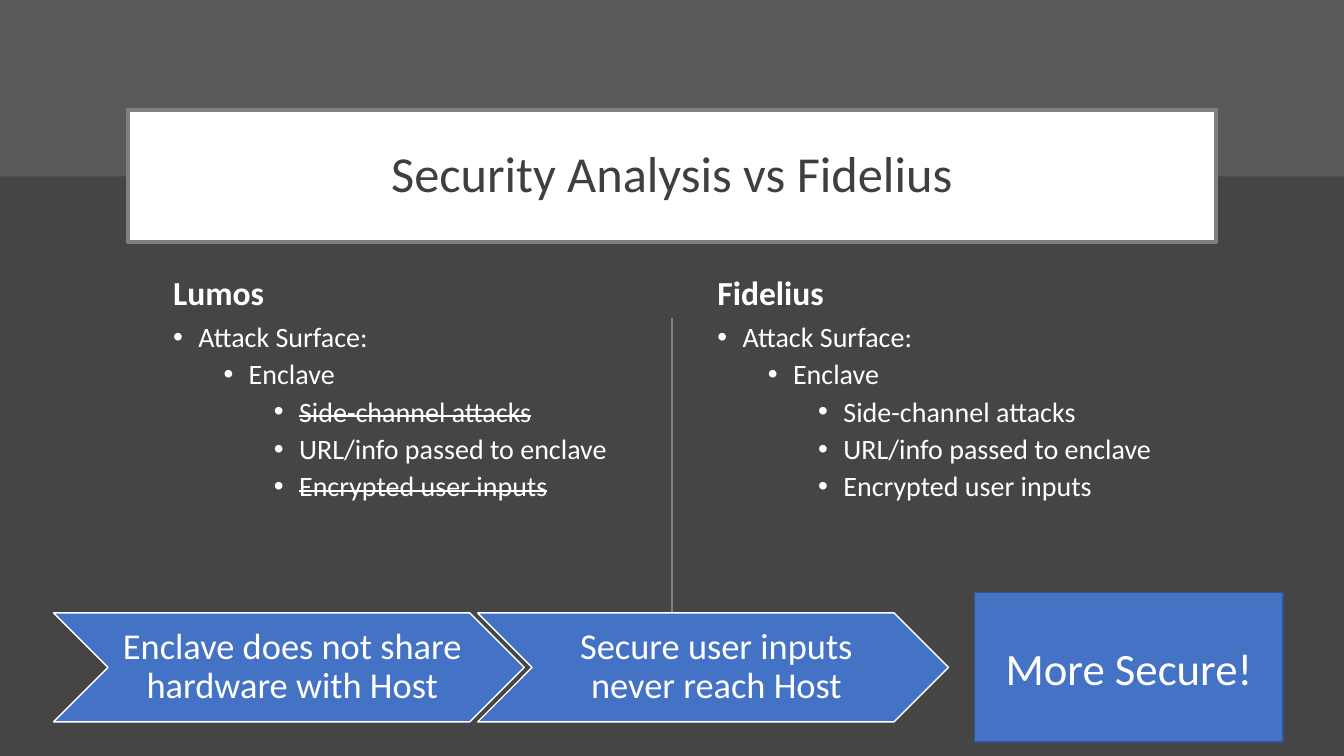
from lxml.etree import SubElement
from pptx import Presentation
from pptx.dml.color import RGBColor
from pptx.enum.shapes import MSO_CONNECTOR as Connector, MSO_SHAPE as Preset
from pptx.enum.text import MSO_ANCHOR as Anchor, PP_ALIGN as Align
from pptx.oxml.ns import qn
from pptx.util import Pt

WHITE, GREY, BLUE = "FFFFFF", "7F7F7F", "4472C4"
STEP = 18
ATTACK_SURFACE = [
    (0, "Attack Surface:"),
    (1, "Enclave"),
    (2, "Side-channel attacks"),
    (2, "URL/info passed to enclave"),
    (2, "Encrypted user inputs"),
]


def paint(target, color):
    """Give a fill or line format a solid colour."""
    target.fill.solid()
    target.fill.fore_color.rgb = RGBColor.from_string(color)


def apply(target, formats):
    """Set each named format value on the target."""
    for name, value in formats.items():
        setattr(target, name, value)


def write(paragraph, words, size, color=WHITE, bold=False, **formats):
    """Put one formatted run in a paragraph and return the run."""
    apply(paragraph, formats)
    run = paragraph.add_run()
    run.text = words
    apply(run.font, {"name": "Calibri", "size": Pt(size), "bold": bold})
    run.font.color.rgb = RGBColor.from_string(color)
    return run


def panel(slide, preset, box, fill, edge=None, weight=1):
    """Draw a flat filled shape with an optional outline."""
    shape = slide.shapes.add_shape(preset, *map(Pt, box))
    shape.shadow.inherit = False
    paint(shape, fill)
    if edge:
        paint(shape.line, edge)
        shape.line.width = Pt(weight)
    else:
        shape.line.fill.background()
    return shape


def caption(shape, words, size, color=WHITE, insets=(7.2, 3.6, 7.2, 3.6), spacing=1.0):
    """Centre wrapped words inside a shape."""
    left, top, right, bottom = map(Pt, insets)
    frame = shape.text_frame
    apply(frame, {"word_wrap": True, "vertical_anchor": Anchor.MIDDLE,
                  "margin_left": left, "margin_top": top,
                  "margin_right": right, "margin_bottom": bottom})
    write(frame.paragraphs[0], words, size, color,
          alignment=Align.CENTER, line_spacing=spacing)


def header(slide, box, title):
    """Draw the upper band with the framed title hanging over its edge."""
    left, top, width, height = box
    panel(slide, Preset.RECTANGLE, box, "595959")
    frame = panel(slide, Preset.RECTANGLE,
                  (left + 91.5, top + 78.5, width - 183, 94.5), WHITE, GREY, 3)
    caption(frame, title, 36, "3F3F3F", spacing=0.9)


def bullet(paragraph, level):
    """Add a hanging bullet at the indent of its level."""
    paragraph.level = level
    properties = paragraph._p.get_or_add_pPr()
    properties.set("marL", str(Pt(STEP + 2 * STEP * level)))
    properties.set("indent", str(Pt(-STEP)))
    SubElement(properties, qn("a:buFont")).set("typeface", "Arial")
    SubElement(properties, qn("a:buChar")).set("char", "•")


def system_column(slide, box, system, removed=()):
    """Write a system name above its attack surface, striking removed risks."""
    left, top, width, height = box
    name = slide.shapes.add_textbox(Pt(left), Pt(top), Pt(width), Pt(36)).text_frame
    name.word_wrap = True
    write(name.paragraphs[0], system, 24, bold=True)
    risks = slide.shapes.add_textbox(
        Pt(left), Pt(top + 36.5), Pt(width), Pt(height - 36.5)).text_frame
    risks.word_wrap = True
    for index, (level, risk) in enumerate(ATTACK_SURFACE):
        paragraph = risks.paragraphs[0] if index == 0 else risks.add_paragraph()
        bullet(paragraph, level)
        run = write(paragraph, risk, 20, line_spacing=0.9,
                    space_before=Pt(5 if index else 0))
        if risk in removed:
            run._r.get_or_add_rPr().set("strike", "sngStrike")


def divider(slide, x, top, bottom):
    """Draw the vertical rule between the columns."""
    rule = slide.shapes.add_connector(Connector.STRAIGHT, Pt(x), Pt(top), Pt(x), Pt(bottom))
    paint(rule.line, GREY)
    rule.line.width = Pt(1.5)
    SubElement(rule._element.spPr, qn("a:effectLst"))


def conclusion(slide, box, reasons, verdict):
    """Lead a row of chevrons to the verdict at the right of the box."""
    left, top, width, height = box
    for index, reason in enumerate(reasons):
        chevron = panel(slide, Preset.CHEVRON,
                        (left + 303 * index, top + 14.4, 336.3, 77.8), BLUE, WHITE)
        caption(chevron, reason, 26, insets=(8, 2.9, 2.9, 2.9), spacing=0.9)
    result = panel(slide, Preset.RECTANGLE,
                   (left + width - 220.3, top, 220.3, height), BLUE, "325491")
    caption(result, verdict, 32)


def main():
    """Build and save the comparison slide."""
    deck = Presentation()
    apply(deck, {"slide_width": Pt(960), "slide_height": Pt(540)})
    slide = deck.slides.add_slide(deck.slide_layouts[6])
    paint(slide.background, "454545")
    header(slide, (0, 0, 960, 126), "Security Analysis vs Fidelius")
    system_column(slide, (116.6, 191, 340, 270), "Lumos",
                  ("Side-channel attacks", "Encrypted user inputs"))
    divider(slide, 480, 227.5, 445.7)
    system_column(slide, (505.4, 191, 340, 270), "Fidelius")
    conclusion(slide, (38.2, 423.4, 878.4, 106.6),
               ("Enclave does not share hardware with Host",
                "Secure user inputs never reach Host"), "More Secure!")
    deck.save("out.pptx")


if __name__ == "__main__":
    main()
